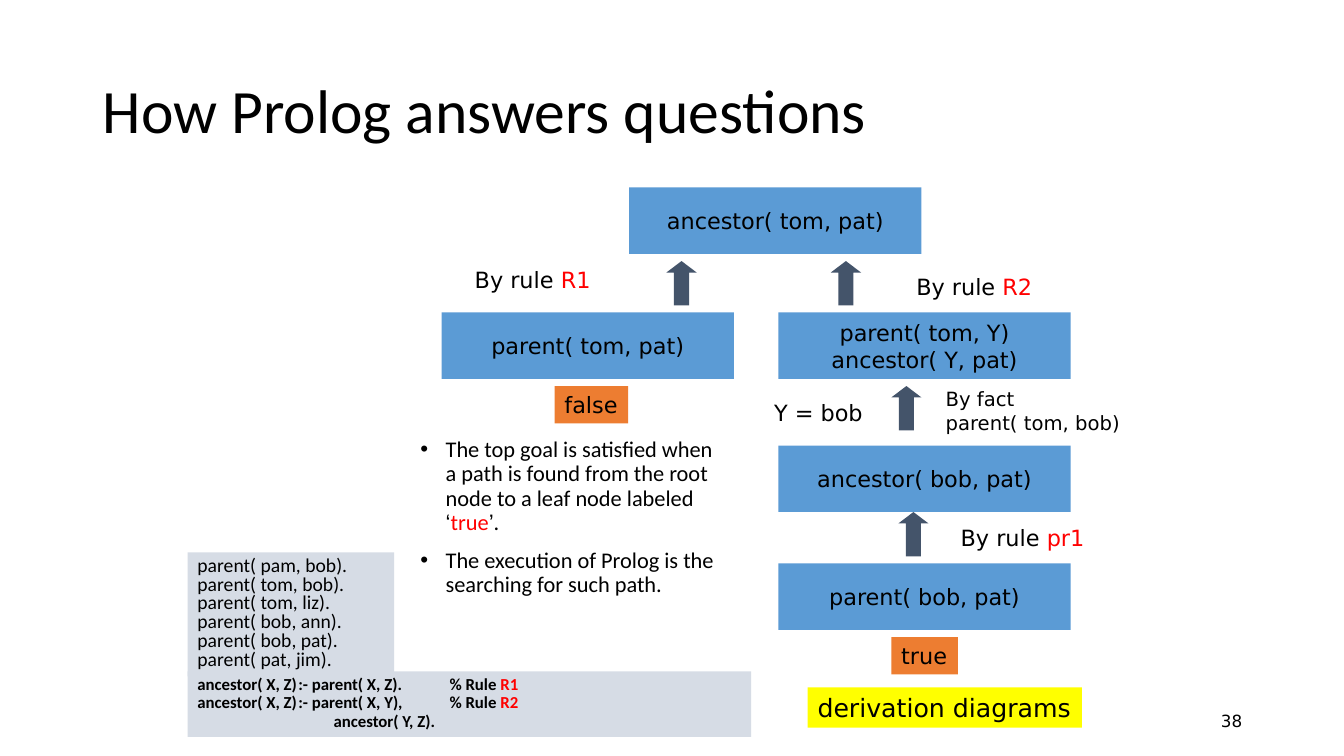
from lxml import etree
from pptx import Presentation
from pptx import util as u
from pptx.dml.color import RGBColor
from pptx.enum import shapes, text
from pptx.oxml.ns import qn

BLUE, ORANGE, YELLOW = "5B9BD5", "ED7D31", "FFFF00"
SLATE, PALE, RED, BLACK = "44546A", "D6DCE5", "FF0000", "000000"


def write(shape, content, size=16, font="DejaVu Sans", bold=False, align="LEFT",
          anchor="TOP", wrap=False, line=None, before=0, margin=0, indent=0):
    """Fill a shape with lines of text; '|' splits runs and '^' marks a red run."""
    frame = shape.text_frame
    frame.word_wrap = wrap
    frame.auto_size = text.MSO_AUTO_SIZE.NONE
    frame.vertical_anchor = getattr(text.MSO_ANCHOR, anchor)
    for index, line_text in enumerate(content.split("\n")):
        paragraph = frame.add_paragraph() if index else frame.paragraphs[0]
        paragraph.alignment = getattr(text.PP_ALIGN, align)
        paragraph.line_spacing = line
        paragraph.space_before = u.Pt(before)
        properties = paragraph._p.get_or_add_pPr()
        properties.set("marL", str(u.Inches(margin)))
        properties.set("indent", str(u.Inches(indent)))
        for piece in line_text.split("|"):
            run = paragraph.add_run()
            run.text = piece.lstrip("^")
            run.font.size = u.Pt(size)
            run.font.name = "Arial" if piece in ("‘", "’") else font
            run.font.bold = bold
            run.font.color.rgb = RGBColor.from_string(RED if piece.startswith("^") else BLACK)


def add_box(left, top, width, height, fill=None, kind="RECTANGLE"):
    place = [u.Inches(value) for value in (left, top, width, height)]
    if fill is None:
        return slide.shapes.add_textbox(*place)
    shape = slide.shapes.add_shape(getattr(shapes.MSO_SHAPE, kind), *place)
    shape.shadow.inherit = False
    shape.fill.solid()
    shape.fill.fore_color.rgb = RGBColor.from_string(fill)
    shape.line.fill.background()
    return shape


presentation = Presentation()
presentation.slide_width = u.Inches(13.33)
presentation.slide_height = u.Inches(7.5)
slide = presentation.slides.add_slide(presentation.slide_layouts[1])

# Title and explanation
title, body = slide.placeholders
for placeholder, place in ((title, (0.92, 0.4, 11.5, 1.45)), (body, (4.07, 4.3, 3.15, 2.2))):
    placeholder.left, placeholder.top, placeholder.width, placeholder.height = map(u.Inches, place)
write(title, "How Prolog answers questions", size=44, font="Calibri",
      anchor="MIDDLE", wrap=True, line=0.9)
write(body, "The top goal is satisfied when a path is found from the root node "
      "to a leaf node labeled |‘|^true|’|.\n"
      "The execution of Prolog is the searching for such path.",
      font="Calibri", wrap=True, line=0.9, before=10, margin=0.25, indent=-0.25)

# Goals of the derivation tree
for left, top, goal in (
    (6.24, 1.86, "ancestor( tom, pat)"),
    (4.38, 3.1, "parent( tom, pat)"),
    (7.72, 3.1, "parent( tom, Y)\nancestor( Y, pat)"),
    (7.72, 4.42, "ancestor( bob, pat)"),
    (7.72, 5.59, "parent( bob, pat)"),
):
    write(add_box(left, top, 2.9, 0.66, BLUE), goal, align="CENTER", anchor="MIDDLE")

for left, top in ((6.61, 2.59), (8.24, 2.59), (8.84, 3.83), (8.91, 5.08)):
    arrow = add_box(left, top, 0.3, 0.44, SLATE, "UP_ARROW")
    arrow.adjustments[1] = 0.38

# Reasons for each step, and the results
for left, top, width, height, fill, size, label in (
    (4.61, 2.59, 1.38, 0.37, None, 16, "By rule |^R1"),
    (8.99, 2.66, 1.38, 0.37, None, 16, "By rule |^R2"),
    (9.28, 3.79, 1.99, 0.57, None, 14, "By fact\nparent( tom, bob)"),
    (7.58, 3.91, 1.1, 0.37, None, 16, "Y = bob"),
    (9.43, 5.15, 1.46, 0.37, None, 16, "By rule |^pr1"),
    (5.5, 3.83, 0.73, 0.37, ORANGE, 16, "false"),
    (8.84, 6.32, 0.66, 0.37, ORANGE, 16, "true"),
    (8.01, 6.82, 2.72, 0.4, YELLOW, 18, "derivation diagrams"),
):
    write(add_box(left, top, width, height, fill), label, size=size)

# Program: facts and rules
facts = ("pam, bob", "tom, bob", "tom, liz", "bob, ann", "bob, pat", "pat, jim")
write(add_box(1.86, 5.48, 2.05, 1.23, PALE),
      "\n".join(f"parent( {pair})." for pair in facts),
      size=14, font="Calibri", wrap=True, line=0.8, margin=0.3, indent=-0.3)

rules = add_box(1.86, 6.66, 5.59, 0.65, PALE)
write(rules, "ancestor( X, Z)\t:- parent( X, Z).\t% Rule| ^R1".replace("| ^", " |^")
      + "\nancestor( X, Z)\t:- parent( X, Y),\t% Rule |^R2\nancestor( Y, Z).",
      size=12, font="Calibri", bold=True, wrap=True, line=0.9)
for paragraph in rules.text_frame.paragraphs[:2]:
    tabs = etree.SubElement(paragraph._p.pPr, qn("a:tabLst"))
    for position in (1.06, 2.62):
        etree.SubElement(tabs, qn("a:tab"), pos=str(u.Inches(position)), algn="l")
rules.text_frame.paragraphs[2]._p.pPr.set("marL", str(u.Inches(1.35)))

write(add_box(9.42, 6.95, 3, 0.4), "38", size=12, align="RIGHT", anchor="MIDDLE", wrap=True)

presentation.save("out.pptx")
